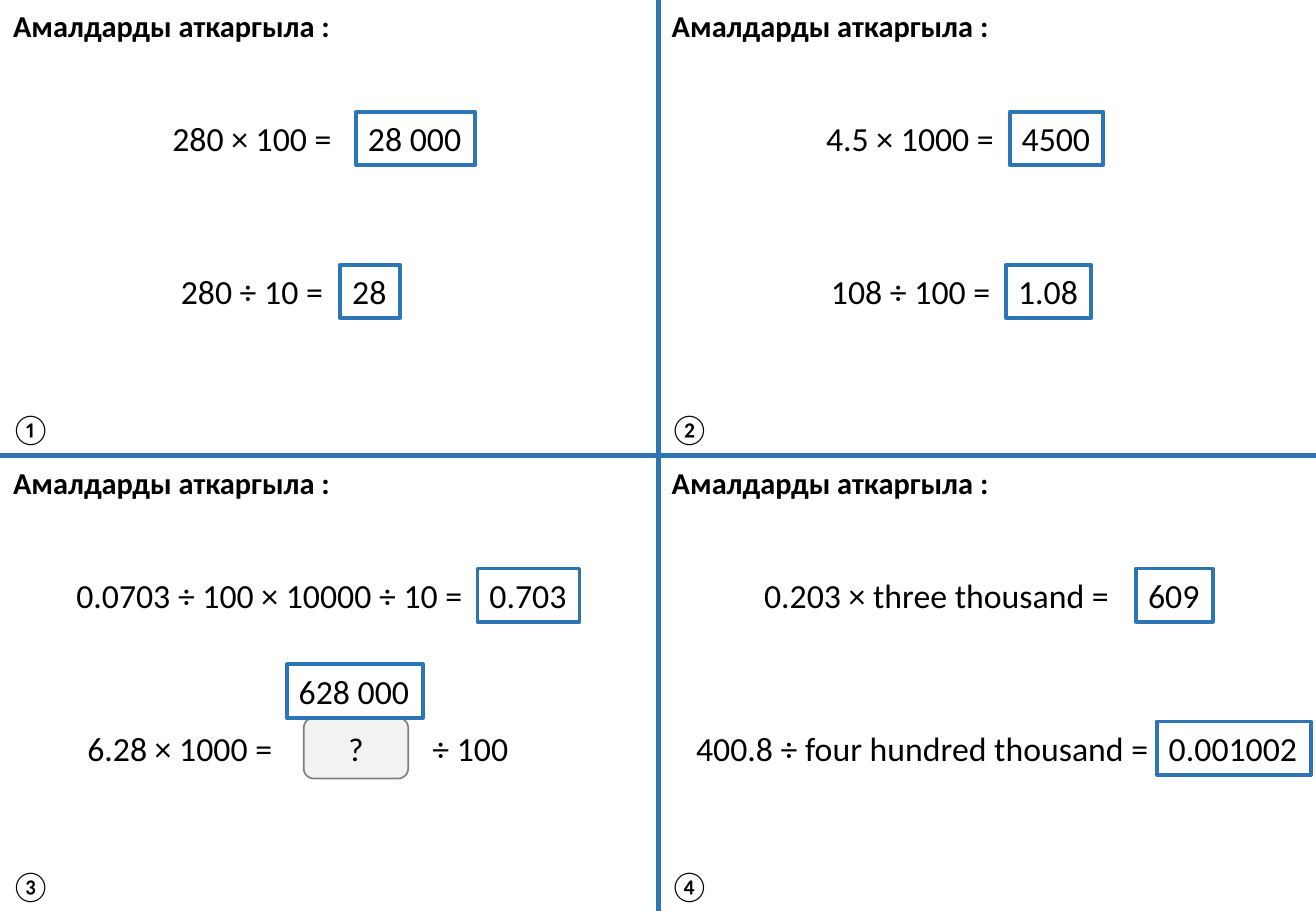
import pptx
import pptx.util
import pptx.dml.color
import pptx.enum.shapes
import pptx.enum.text
import pptx.oxml.ns
import lxml.etree

Inches = pptx.util.Inches
Pt = pptx.util.Pt
MSO_SHAPE = pptx.enum.shapes.MSO_SHAPE
PP_ALIGN = pptx.enum.text.PP_ALIGN
ANCHOR = pptx.enum.text.MSO_ANCHOR
AUTO_SIZE = pptx.enum.text.MSO_AUTO_SIZE

WIDTH, HEIGHT = 10.83, 7.5
COLUMN_STEP, ROW_STEP = 5.42, 3.76
FIRST_LINE, LINE_STEP = 0.92, 1.26


class Worksheet:
    """Holds the style and current slide of a four-panel arithmetic worksheet."""

    font = "Calibri"
    colors = {"ink": "000000", "paper": "FFFFFF", "blue": "2E75B6",
              "gap": "F2F2F2", "grey": "808080"}

    def __init__(self, slide):
        self.shapes = slide.shapes

    def color(self, name):
        return pptx.dml.color.RGBColor.from_string(self.colors[name])

    def set_text(self, shape, text, size, align=PP_ALIGN.LEFT, bold=False):
        paragraph = shape.text_frame.paragraphs[0]
        paragraph.text = text
        paragraph.alignment = align
        paragraph.font.name = self.font
        paragraph.font.size = Pt(size)
        paragraph.font.bold = bold
        paragraph.font.color.rgb = self.color("ink")

    def label(self, text, left, top, width, height=0.4, size=18, bold=False):
        box = self.shapes.add_textbox(*map(Inches, (left, top, width, height)))
        box.text_frame.word_wrap = True
        box.text_frame.auto_size = AUTO_SIZE.SHAPE_TO_FIT_TEXT
        self.set_text(box, text, size, bold=bold)

    def equation(self, text, left, top, width):
        self.label(text, left, top, width, height=0.44, size=20)

    def box(self, kind, left, top, width, height, fill, line, weight):
        shape = self.shapes.add_shape(kind, *map(Inches, (left, top, width, height)))
        shape.shadow.inherit = False
        shape.fill.solid()
        shape.fill.fore_color.rgb = self.color(fill)
        shape.line.color.rgb = self.color(line)
        shape.line.width = Pt(weight)
        return shape

    def answer(self, text, left, top, width):
        shape = self.box(MSO_SHAPE.RECTANGLE, left, top, width, 0.44, "paper", "blue", 2.25)
        frame = shape.text_frame
        frame.word_wrap = False
        frame.auto_size = AUTO_SIZE.SHAPE_TO_FIT_TEXT
        frame.vertical_anchor = ANCHOR.TOP
        self.set_text(shape, text, 20, PP_ALIGN.JUSTIFY)

    def unknown(self, left, top, width, height):
        shape = self.box(MSO_SHAPE.ROUNDED_RECTANGLE, left, top, width, height,
                         "gap", "grey", 1)
        frame = shape.text_frame
        frame.margin_left = frame.margin_right = frame.margin_top = frame.margin_bottom = 0
        frame.vertical_anchor = ANCHOR.MIDDLE
        self.set_text(shape, "?", 19.5, PP_ALIGN.CENTER)

    def divider(self, x1, y1, x2, y2):
        line = self.shapes.add_connector(pptx.enum.shapes.MSO_CONNECTOR.STRAIGHT,
                                         *map(Inches, (x1, y1, x2, y2)))
        line.line.color.rgb = self.color("blue")
        line.line.width = Pt(3)
        lxml.etree.SubElement(line._element.spPr, pptx.oxml.ns.qn("a:effectLst"))


PANELS = [
    ("①", [("280 × 100 =", 1.32, 1.59, "28 000", 2.93, 0.98),
           ("280 ÷ 10 =", 1.39, 1.44, "28", 2.8, 0.49)]),
    ("②", [("4.5 × 1000 =", 6.7, 1.66, "4500", 8.31, 0.77),
           ("108 ÷ 100 =", 6.74, 1.59, "1.08", 8.28, 0.7)]),
    ("③", [("0.0703 ÷ 100 × 10000 ÷ 10 =", 0.53, 3.47, "0.703", 3.93, 0.84)]),
    ("④", [("0.203 × three thousand =", 6.19, 3.13, "609", 9.35, 0.63),
           ("400.8 ÷ four hundred thousand =", 5.63, 4.02, "0.001002", 9.52, 1.27)]),
]


def main():
    presentation = pptx.Presentation()
    presentation.slide_width = Inches(WIDTH)
    presentation.slide_height = Inches(HEIGHT)
    sheet = Worksheet(presentation.slides.add_slide(presentation.slide_layouts[6]))

    sheet.divider(COLUMN_STEP, 0, COLUMN_STEP, HEIGHT)
    sheet.divider(0, HEIGHT / 2, WIDTH, HEIGHT / 2)

    for index, (number, exercises) in enumerate(PANELS):
        row, column = divmod(index, 2)
        left, top = column * COLUMN_STEP, row * ROW_STEP
        sheet.label("Амалдарды аткаргыла :", left + 0.01, top + 0.01, 2.84, bold=True)
        sheet.label(number, left - 0.01, top + 3.33, 0.54)
        for line, exercise in enumerate(exercises):
            question, question_left, question_width, result, result_left, result_width = exercise
            line_top = top + FIRST_LINE + line * LINE_STEP
            sheet.equation(question, question_left, line_top, question_width)
            sheet.answer(result, result_left, line_top, result_width)

    gap_line = ROW_STEP + FIRST_LINE + LINE_STEP
    sheet.equation("6.28 × 1000 =", 0.62, gap_line, 1.8)
    sheet.equation("÷ 100", 3.46, gap_line, 0.95)
    sheet.unknown(2.5, 5.91, 0.86, 0.5)
    sheet.answer("628 000", 2.36, 5.47, 1.12)

    presentation.save("out.pptx")


if __name__ == "__main__":
    main()
